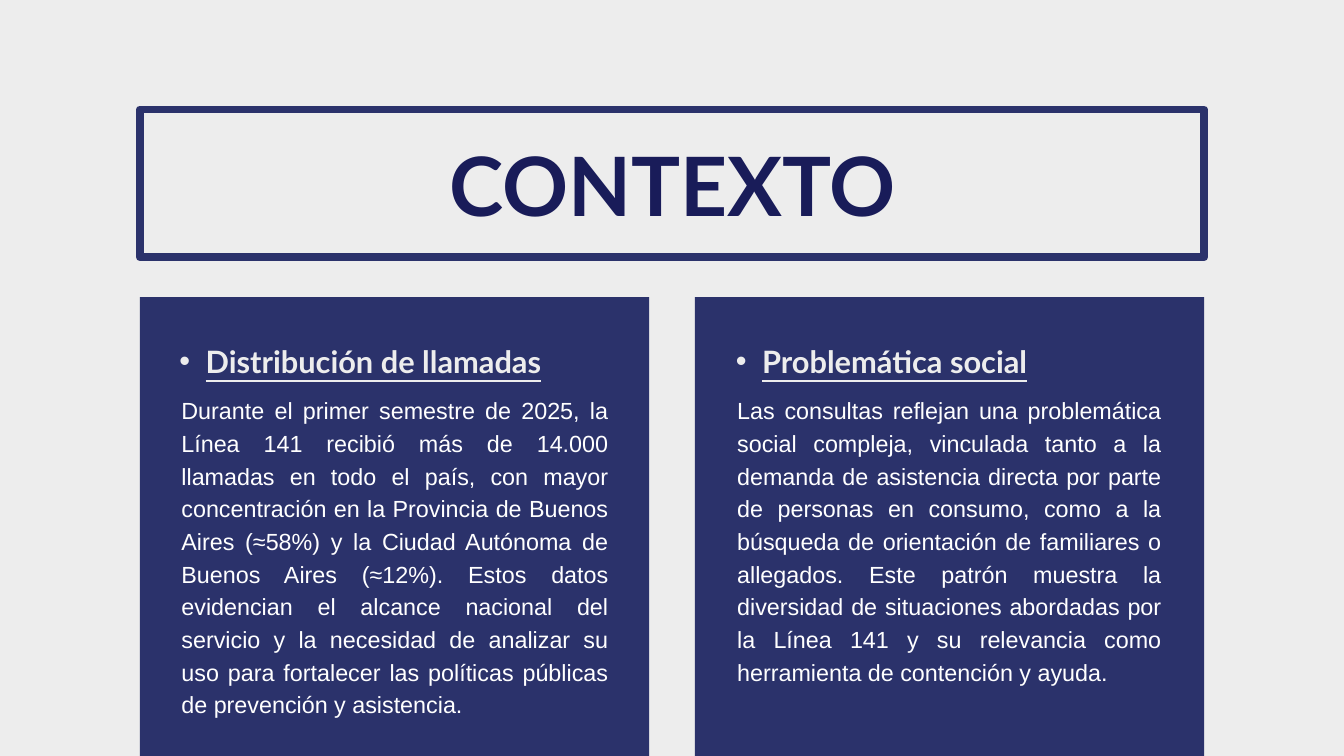
import pptx
import pptx.util
import pptx.dml.color
import pptx.enum.shapes
import pptx.enum.text
import pptx.oxml.ns
from lxml import etree

Inches = pptx.util.Inches
Pt = pptx.util.Pt
ALIGN = pptx.enum.text.PP_ALIGN

COLORS = {"background": "EDEDED", "panel": "2B326B", "title": "191C59", "body": "FFFFFF"}

FORMATS = {
    "title": {
        "font": {"name": "Lato", "size": Pt(87.7), "bold": True},
        "paragraph": {"alignment": ALIGN.CENTER, "line_spacing": Pt(107.9)},
        "color": "title",
    },
    "heading": {
        "font": {"name": "Lato", "size": Pt(33), "bold": True, "underline": True},
        "paragraph": {"alignment": ALIGN.LEFT, "line_spacing": Pt(40.6), "level": 1},
        "color": "background",
    },
    "body": {
        "font": {"name": "Arial", "size": Pt(25)},
        "paragraph": {"alignment": ALIGN.JUSTIFY, "line_spacing": Pt(35)},
        "color": "body",
    },
}

PANEL_TOP, PANEL_WIDTH, PANEL_HEIGHT = 4.42, 7.58, 12.76

# panel left, heading left, heading width, body left, body width, body height, heading, body
COLUMNS = [
    (2.08, 2.28, 6.69, 2.7, 6.35, 5.25, "Distribución de llamadas",
     "Durante el primer semestre de 2025, la Línea 141 recibió más de 14.000 llamadas "
     "en todo el país, con mayor concentración en la Provincia de Buenos Aires (≈58%) "
     "y la Ciudad Autónoma de Buenos Aires (≈12%). Estos datos evidencian el alcance "
     "nacional del servicio y la necesidad de analizar su uso para fortalecer las "
     "políticas públicas de prevención y asistencia."),
    (10.34, 10.56, 6.31, 10.97, 6.31, 4.77, "Problemática social",
     "Las consultas reflejan una problemática social compleja, vinculada tanto a la "
     "demanda de asistencia directa por parte de personas en consumo, como a la "
     "búsqueda de orientación de familiares o allegados. Este patrón muestra la "
     "diversidad de situaciones abordadas por la Línea 141 y su relevancia como "
     "herramienta de contención y ayuda."),
]


def rgb(name):
    return pptx.dml.color.RGBColor.from_string(COLORS[name])


def set_attributes(target, values):
    for name, value in values.items():
        setattr(target, name, value)


class SlideBuilder:
    """Holds the current slide and draws each kind of element in its style."""

    def __init__(self, slide):
        self.slide = slide
        slide.background.fill.solid()
        slide.background.fill.fore_color.rgb = rgb("background")

    def rectangle(self, left, top, width, height):
        shape = self.slide.shapes.add_shape(
            pptx.enum.shapes.MSO_SHAPE.RECTANGLE,
            Inches(left), Inches(top), Inches(width), Inches(height))
        shape.shadow.inherit = False
        return shape

    def panel(self, *box):
        shape = self.rectangle(*box)
        shape.fill.solid()
        shape.fill.fore_color.rgb = rgb("panel")
        shape.line.fill.background()

    def frame(self, *box):
        shape = self.rectangle(*box)
        shape.fill.background()
        shape.line.color.rgb = rgb("panel")
        shape.line.width = Pt(8.25)

    def fill_text(self, shape, text, style):
        """Fill a text shape with one paragraph in the named style."""
        values = FORMATS[style]
        set_attributes(shape.text_frame, {
            "margin_left": 0, "margin_top": 0, "margin_right": 0, "margin_bottom": 0,
            "word_wrap": True,
            "vertical_anchor": pptx.enum.text.MSO_ANCHOR.TOP,
            "auto_size": pptx.enum.text.MSO_AUTO_SIZE.SHAPE_TO_FIT_TEXT,
        })
        paragraph = shape.text_frame.paragraphs[0]
        set_attributes(paragraph, values["paragraph"])
        run = paragraph.add_run()
        run.text = text
        set_attributes(run.font, values["font"])
        run.font.color.rgb = rgb(values["color"])
        return paragraph

    def title(self, text, left, top, width, height):
        shape = self.slide.shapes.title
        set_attributes(shape, {"left": Inches(left), "top": Inches(top),
                               "width": Inches(width), "height": Inches(height)})
        self.fill_text(shape, text, "title")

    def text(self, text, style, left, top, width, height):
        shape = self.slide.shapes.add_textbox(
            Inches(left), Inches(top), Inches(width), Inches(height))
        return self.fill_text(shape, text, style)

    def heading(self, text, *box):
        """Add a bulleted heading with a hanging indent."""
        paragraph = self.text(text, "heading", *box)
        properties = paragraph._p.get_or_add_pPr()
        properties.set("marL", str(Inches(0.78)))
        properties.set("indent", str(Inches(-0.39)))
        qn = pptx.oxml.ns.qn
        etree.SubElement(properties, qn("a:buFont")).set("typeface", "Arial")
        etree.SubElement(properties, qn("a:buChar")).set("char", "•")


def main():
    presentation = pptx.Presentation()
    presentation.slide_width = Inches(20)
    presentation.slide_height = Inches(11.25)
    title_only = presentation.slide_layouts[5]
    builder = SlideBuilder(presentation.slides.add_slide(title_only))

    builder.frame(2.08, 1.63, 15.84, 2.2)
    builder.title("CONTEXTO", 2.09, 1.96, 15.84, 1.47)
    for (panel_left, heading_left, heading_width,
         body_left, body_width, body_height, heading, body) in COLUMNS:
        builder.panel(panel_left, PANEL_TOP, PANEL_WIDTH, PANEL_HEIGHT)
        builder.heading(heading, heading_left, 5.08, heading_width, 0.56)
        builder.text(body, "body", body_left, 5.83, body_width, body_height)

    presentation.save("out.pptx")


if __name__ == "__main__":
    main()
